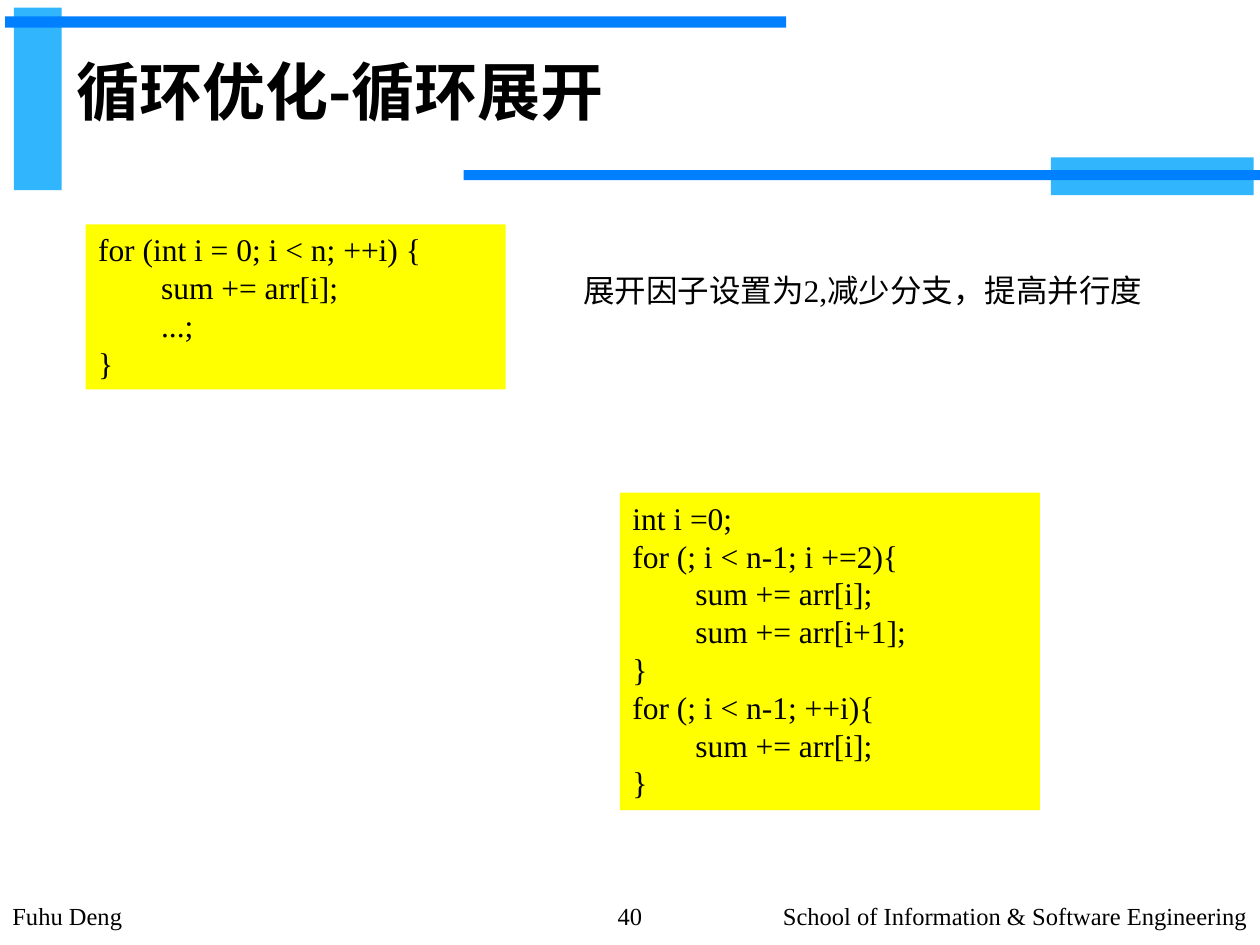
from pptx import Presentation, util as u
from pptx.dml.color import RGBColor
from pptx.enum import shapes, text
from pptx.oxml.ns import qn

SERIF, SANS = "Times New Roman", "Noto Sans CJK SC"
W, H = 10, 7.5
SKY, BLUE, YELLOW, BLACK = "31B6FD", "0080FF", "FFFF00", "000000"
LEFT, MID, RIGHT = text.PP_ALIGN.LEFT, text.PP_ALIGN.CENTER, text.PP_ALIGN.RIGHT
LOOP = """for (int i = 0; i < n; ++i) {
    sum += arr[i];
    ...;
}"""
UNROLL = """int i =0;
for (; i < n-1; i +=2){
    sum += arr[i];
    sum += arr[i+1];
}
for (; i < n-1; ++i){
    sum += arr[i];
}"""


def tint(code):
    """Turn a hex string into a colour."""
    return RGBColor.from_string(code)


def block(slide, box, fill):
    """Add a plain filled rectangle."""
    shape = slide.shapes.add_shape(
        shapes.MSO_SHAPE.RECTANGLE, *map(u.Inches, box))
    shape.shadow.inherit = False
    shape.fill.solid()
    shape.fill.fore_color.rgb = tint(fill)
    shape.line.fill.background()
    return shape


def write(shape, words, size=18, font=SERIF, bold=False, align=LEFT,
          anchor=text.MSO_ANCHOR.TOP):
    """Fill a shape with text, turning leading spaces into an indent."""
    frame = shape.text_frame
    frame.word_wrap = True
    frame.vertical_anchor = anchor
    lines = words.split("\n")
    frame.text = "\n".join(line.strip() for line in lines)
    for par, line in zip(frame.paragraphs, lines):
        par.alignment = align
        if line.startswith(" "):
            props = par._p.get_or_add_pPr()
            props.set("marL", "0")
            props.set("indent", str(u.Inches(0.5)))
        for run in par.runs:
            face = run.font
            face.size, face.bold, face.name = u.Pt(size), bold, font
            face.color.rgb = tint(BLACK)
            east = face._element.makeelement(qn("a:ea"), {"typeface": SANS})
            face._element.find(qn("a:latin")).addnext(east)


def label(slide, box, words, **style):
    """Add a text box."""
    write(slide.shapes.add_textbox(*map(u.Inches, box)), words, **style)


def header(slide, box, words):
    """Draw the corner bars and the title."""
    x, y, w, h = box
    block(slide, (x + 0.11, y + 0.06, 0.38, h - 0.1), SKY)
    block(slide, (x + 0.04, y + 0.13, 0.62 * w, 0.09), BLUE)
    block(slide, (x + w - 1.66, y + h - 0.3, 1.61, 0.3), SKY)
    block(slide, (x + w - 6.32, y + h - 0.2, 6.36, 0.08), BLUE)
    label(slide, (x + 0.51, y + 0.21, 8.27, 1.02), words, size=36, font=SANS,
          bold=True, anchor=text.MSO_ANCHOR.MIDDLE)


def footer(slide, box, author, page, school):
    """Set three labels in a row, the page number in the middle."""
    x, y, w, h = box
    gap = 0.63
    side = (w - gap) / 2
    label(slide, (x + side + gap, y, side, h), school, size=14, align=RIGHT)
    label(slide, (x, y, side, h), author, size=14)
    label(slide, (x + side, y, gap, h), page, size=14, align=MID)


def body(slide, box):
    """Place both loops and the remark between them."""
    x, y, w, h = box
    wide = w / 3
    for left, top, high, code in ((0.68, 0.23, 1.31, LOOP),
                                  (4.92, 2.36, 2.52, UNROLL)):
        write(block(slide, (x + left, y + top, wide, high), YELLOW), code)
    label(slide, (x + 4.53, y + 0.55, 4.83, 0.4),
          "展开因子设置为2,减少分支，提高并行度")


def main():
    """Build the slide and save it."""
    deck = Presentation()
    deck.slide_width, deck.slide_height = u.Inches(W), u.Inches(H)
    slide = deck.slides.add_slide(deck.slide_layouts[6])
    top, foot = 1.55, 0.4
    header(slide, (0, 0, W, top), "循环优化-循环展开")
    footer(slide, (0, H - foot, W, foot), "Fuhu Deng", "40",
           "School of Information & Software Engineering")
    body(slide, (0, top, W, H - top - foot))
    deck.save("out.pptx")


if __name__ == "__main__":
    main()
